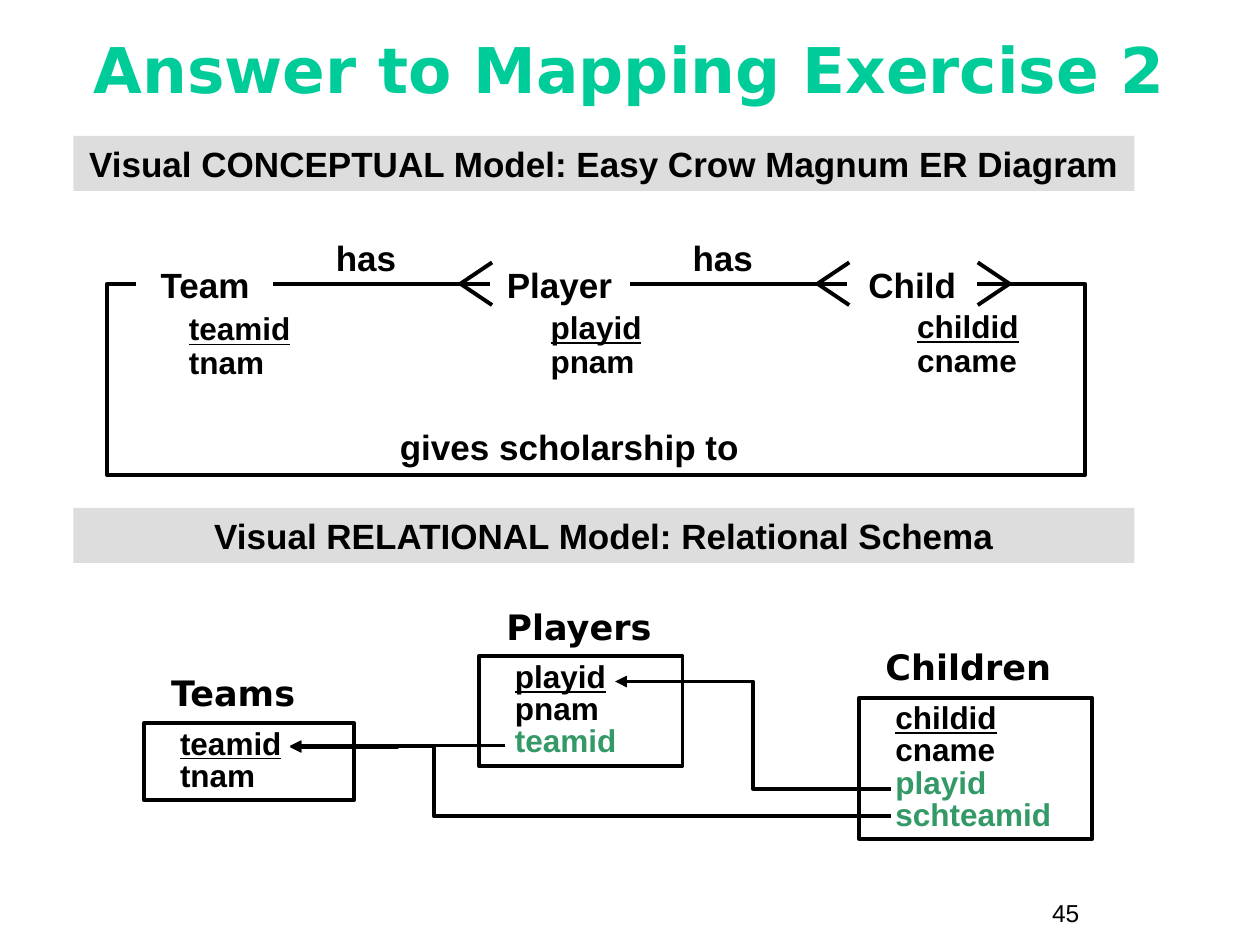
from lxml.etree import SubElement
from pptx import Presentation
from pptx.dml.color import RGBColor
from pptx.enum.shapes import MSO_CONNECTOR as LINK, MSO_SHAPE as SHAPE
from pptx.enum.text import MSO_ANCHOR as ANCHOR, PP_ALIGN as ALIGN
from pptx.oxml.ns import qn
from pptx.util import Cm, Pt

BLACK, WHITE, GREY = "000000", "FFFFFF", "DDDDDD"
MINT, KEY_GREEN = "00CC99", "339966"
LABEL = dict(name="Arial", size=Pt(20), bold=True)
FIELD = dict(name="Arial", size=Pt(18), bold=True)
CAPTION = dict(name="DejaVu Sans", size=Pt(20), bold=True)
HEADING = dict(name="DejaVu Sans", size=Pt(36), bold=True)
PAGE = dict(name="Arial", size=Pt(14), bold=False)
LINE_WIDTH = Pt(2.25)
RELATION_Y = 5.72
FORK_WIDTH, FORK_RISE = 0.64, 0.43


def colour(hex_code):
    return RGBColor.from_string(hex_code)


def apply(target, values):
    for key, value in values.items():
        setattr(target, key, value)


def write(shape, lines, font, align=ALIGN.LEFT, anchor=ANCHOR.TOP,
          wrap=True, spacing=None, indent=None):
    frame = shape.text_frame
    apply(frame, dict(word_wrap=wrap, vertical_anchor=anchor))
    for index, (words, ink, underline) in enumerate(lines):
        paragraph = frame.add_paragraph() if index else frame.paragraphs[0]
        apply(paragraph, dict(alignment=align, line_spacing=spacing))
        if indent:
            paragraph._p.get_or_add_pPr().set("marL", str(Cm(indent)))
        run = paragraph.add_run()
        run.text = words
        apply(run.font, dict(font, underline=underline))
        run.font.color.rgb = colour(ink)


def add_text(slide, box, words, font, ink=BLACK, **layout):
    label = slide.shapes.add_textbox(*map(Cm, box))
    write(label, [(words, ink, False)], font, **layout)


def add_box(slide, box, fill=None, outline=None):
    shape = slide.shapes.add_shape(SHAPE.RECTANGLE, *map(Cm, box))
    shape.shadow.inherit = False
    if fill:
        shape.fill.solid()
        shape.fill.fore_color.rgb = colour(fill)
    else:
        shape.fill.background()
    if outline:
        shape.line.color.rgb = colour(outline)
        shape.line.width = LINE_WIDTH
    else:
        shape.line.fill.background()
    return shape


def fields(names, foreign=()):
    key, *others = names
    return ([(key, BLACK, True)] + [(name, BLACK, False) for name in others]
            + [(name, KEY_GREEN, False) for name in foreign])


def add_banner(slide, top, words):
    banner = add_box(slide, (1.48, top, 21.39, 1.11), fill=GREY)
    write(banner, [(words, BLACK, False)], LABEL, align=ALIGN.CENTER)


def add_entity(slide, box, name, attribute_box, attributes):
    entity = add_box(slide, box, outline=WHITE)
    write(entity, [(name, BLACK, False)], LABEL, align=ALIGN.CENTER,
          anchor=ANCHOR.MIDDLE, wrap=False)
    listing = slide.shapes.add_textbox(*map(Cm, attribute_box))
    write(listing, fields(attributes), FIELD, spacing=0.9)


def add_relation_table(slide, box, name, caption_box, own, foreign=()):
    add_text(slide, caption_box, name, CAPTION)
    table = add_box(slide, box, outline=BLACK)
    write(table, fields(own, foreign), FIELD, spacing=0.85, indent=0.48)


def add_link(slide, start, end, kind=LINK.STRAIGHT):
    link = slide.shapes.add_connector(kind, *map(Cm, start + end))
    link.line.color.rgb = colour(BLACK)
    link.line.width = LINE_WIDTH
    SubElement(link._element.spPr, qn("a:effectLst"))
    return link


def add_reference(slide, start, end, bend=0.5):
    link = add_link(slide, start, end, LINK.ELBOW)
    guides = link._element.spPr.find(qn("a:prstGeom")).get_or_add_avLst()
    SubElement(guides, qn("a:gd"), name="adj1", fmla=f"val {round(bend * 100000)}")
    SubElement(link.line._get_or_add_ln(), qn("a:tailEnd"), type="triangle")


def add_crow_foot(slide, tip, direction):
    for rise in (-FORK_RISE, FORK_RISE):
        add_link(slide, (tip, RELATION_Y),
                 (tip + direction * FORK_WIDTH, RELATION_Y + rise))


def add_has(slide, left, right, label_left):
    add_link(slide, (left, RELATION_Y), (right, RELATION_Y))
    add_crow_foot(slide, right - 0.6, 1)
    add_text(slide, (label_left, 4.65, 4.24, 1.11), "has", LABEL,
             align=ALIGN.CENTER)


def add_scholarship(slide):
    left, right, bottom = 2.16, 21.87, 9.58
    route = [(left, RELATION_Y), (left, bottom), (right, bottom),
             (right, RELATION_Y), (19.69, RELATION_Y)]
    builder = slide.shapes.build_freeform(Cm(2.74), Cm(RELATION_Y))
    builder.add_line_segments([(Cm(x), Cm(y)) for x, y in route], close=False)
    loop = builder.convert_to_shape()
    loop.shadow.inherit = False
    loop.fill.background()
    loop.line.color.rgb = colour(BLACK)
    loop.line.width = LINE_WIDTH
    add_crow_foot(slide, 20.35, -1)
    add_text(slide, (6.4, 8.46, 10.16, 1.11), "gives scholarship to", LABEL,
             align=ALIGN.CENTER)


def add_conceptual_model(slide):
    add_banner(slide, 2.74, "Visual CONCEPTUAL Model: Easy Crow Magnum ER Diagram")
    add_entity(slide, (2.79, 4.88, 2.69, 1.7), "Team",
               (3.56, 6.2, 3.66, 1.63), ["teamid", "tnam"])
    add_entity(slide, (9.91, 4.88, 2.74, 1.7), "Player",
               (10.85, 6.17, 3.61, 2.31), ["playid", "pnam"])
    add_entity(slide, (17.12, 4.88, 2.54, 1.7), "Child",
               (18.24, 6.15, 2.97, 1.63), ["childid", "cname"])
    add_has(slide, 5.51, 9.88, 5.26)
    add_has(slide, 12.7, 17.08, 12.45)
    add_scholarship(slide)


def add_relational_model(slide):
    add_banner(slide, 10.24, "Visual RELATIONAL Model: Relational Schema")
    add_relation_table(slide, (2.9, 14.58, 4.24, 1.55), "Teams",
                       (3.2, 13.41, 3.81, 1.11), ["teamid", "tnam"])
    add_relation_table(slide, (9.65, 13.23, 4.11, 2.21), "Players",
                       (9.96, 12.09, 3.45, 1.11), ["playid", "pnam"], ["teamid"])
    add_relation_table(slide, (17.32, 14.07, 4.7, 2.84), "Children",
                       (17.6, 12.88, 4.42, 1.11), ["childid", "cname"],
                       ["playid", "schteamid"])
    add_reference(slide, (17.96, 15.9), (12.4, 13.74))
    add_reference(slide, (10.19, 15.03), (5.84, 15.06))
    add_reference(slide, (17.96, 16.46), (5.84, 15.04), bend=0.76)


def main():
    deck = Presentation()
    apply(deck, dict(slide_width=Cm(25.4), slide_height=Cm(19.05)))
    slide = deck.slides.add_slide(deck.slide_layouts[6])
    add_text(slide, (0.84, 0.2, 23.7, 2.34), "Answer to Mapping Exercise 2",
             HEADING, MINT, align=ALIGN.CENTER, anchor=ANCHOR.MIDDLE)
    add_conceptual_model(slide)
    add_relational_model(slide)
    add_text(slide, (20.96, 17.98, 2.34, 0.86), "45", PAGE)
    deck.save("out.pptx")


if __name__ == "__main__":
    main()
